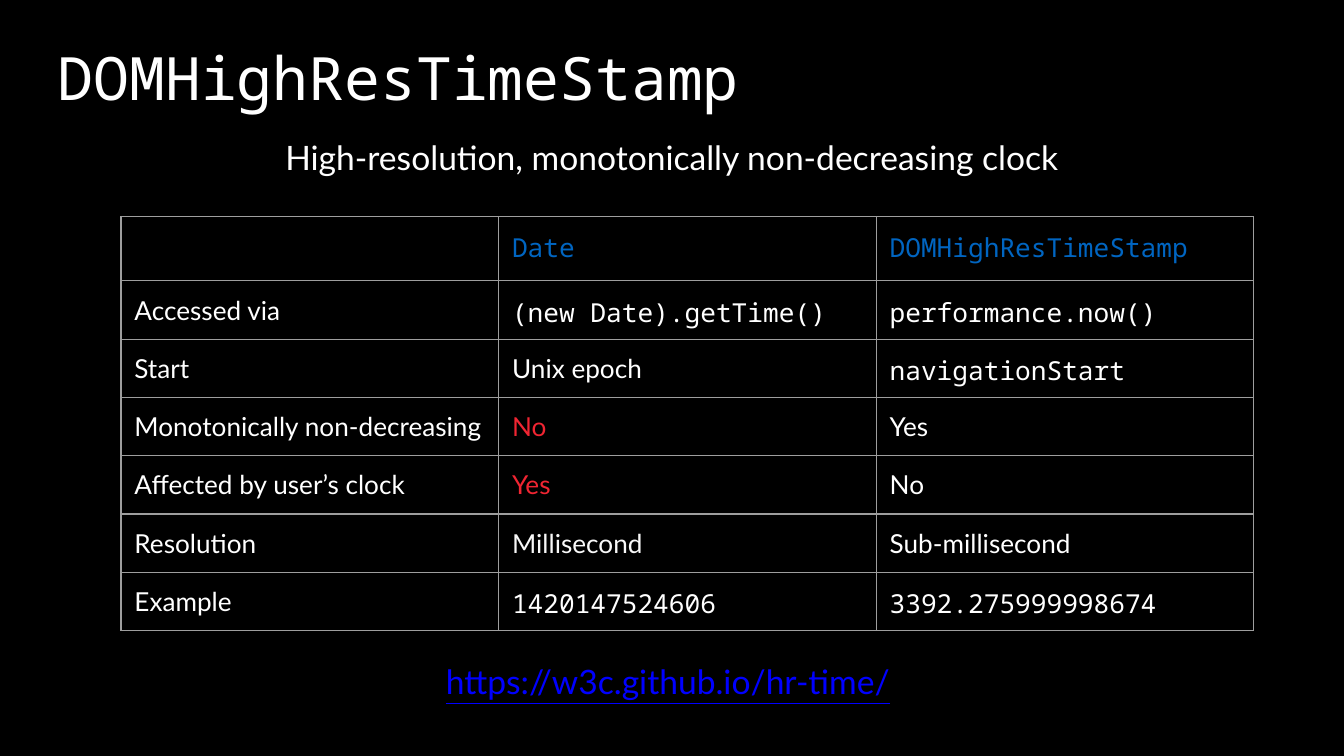
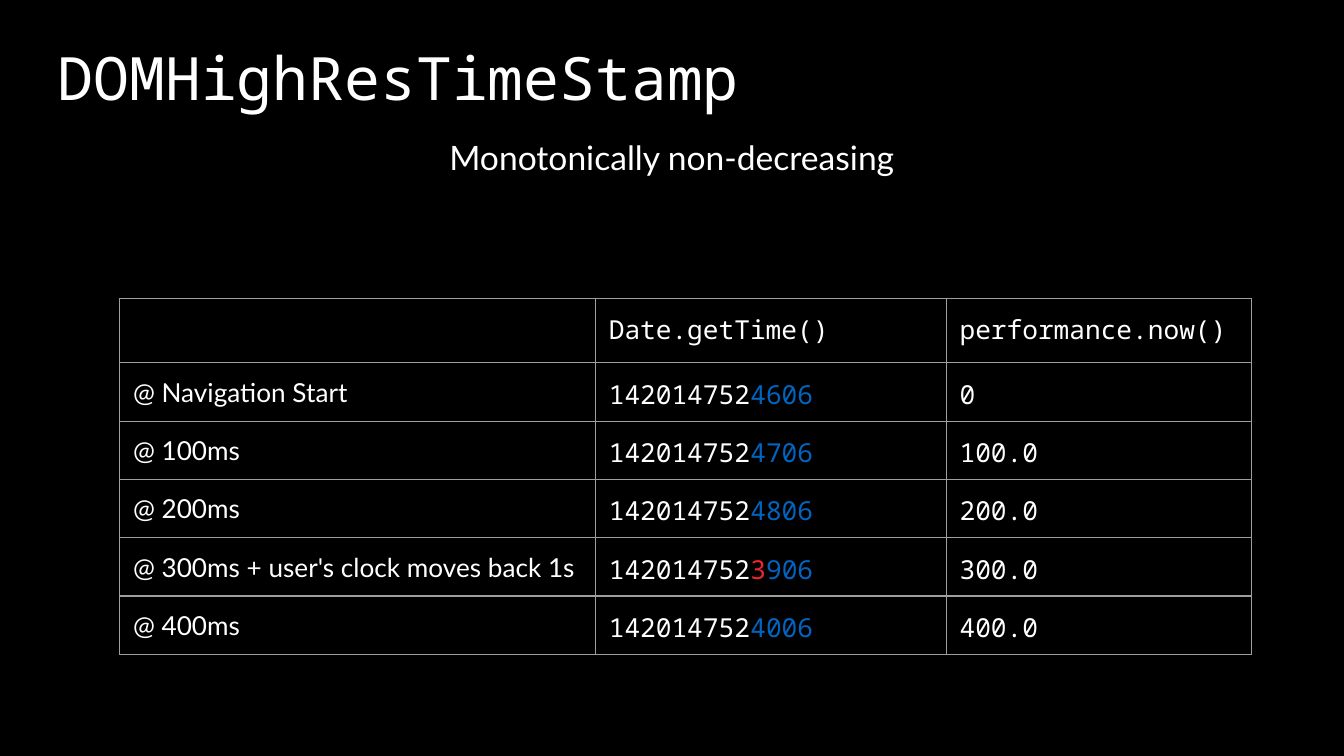
from lxml import etree
from pptx import Presentation
from pptx.dml.color import RGBColor
from pptx.enum.text import MSO_ANCHOR, PP_ALIGN
from pptx.oxml.ns import qn
from pptx.util import Inches, Pt

BLACK = RGBColor(0x00, 0x00, 0x00)
WHITE = RGBColor(0xFF, 0xFF, 0xFF)
OFF_WHITE = RGBColor(0xF8, 0xF8, 0xF8)
BLUE = RGBColor(0x00, 0x65, 0xC1)
RED = RGBColor(0xF0, 0x25, 0x32)
LINK = RGBColor(0x00, 0x00, 0xFF)
BORDER = "9E9E9E"
SANS, MONO = "Lato", "Noto Sans Mono"
LEFT, CENTER = PP_ALIGN.LEFT, PP_ALIGN.CENTER
TOP, MIDDLE = MSO_ANCHOR.TOP, MSO_ANCHOR.MIDDLE


def add_text(holder, text, size=14, font=SANS, color=WHITE, align=LEFT,
             anchor=TOP, inset=0.1, underline=None):
    """Fill a text box or cell; text is a string or a list of (text, color)."""
    tf = holder.text_frame
    tf.word_wrap = True
    # Cells keep margins and anchor on themselves, boxes on their text frame
    box = holder if hasattr(holder, "margin_left") else tf
    box.margin_left = box.margin_right = Inches(inset)
    box.margin_top = box.margin_bottom = Inches(inset)
    box.vertical_anchor = anchor
    p = tf.paragraphs[0]
    p.alignment = align
    for part, part_color in [(text, color)] if isinstance(text, str) else text:
        r = p.add_run()
        r.text = part
        r.font.size = Pt(size)
        r.font.name = font
        r.font.color.rgb = part_color
        r.font.underline = underline


def add_grid(s, left, top, widths, rows):
    """Add a bordered table; each cell is None or (text, font, color)."""
    heights = [0.48] + [0.43] * (len(rows) - 1)
    frame = s.shapes.add_table(len(rows), len(widths), Inches(left), Inches(top),
                               Inches(sum(widths)), Inches(sum(heights)))
    table = frame.table
    table.first_row = table.horz_banding = False
    for col, width in zip(table.columns, widths):
        col.width = Inches(width)
    for i, (row, height) in enumerate(zip(rows, heights)):
        table.rows[i].height = Inches(height)
        for j, content in enumerate(row):
            cell = table.cell(i, j)
            if content:
                text, font, color = content
                add_text(cell, text, font=font, color=color)
            else:
                p = cell.text_frame.paragraphs[0]
                etree.SubElement(p._p, qn("a:endParaRPr"), sz="1400")
            tc_pr = cell._tc.get_or_add_tcPr()
            for side in ("lnL", "lnR", "lnT", "lnB"):
                ln = etree.SubElement(tc_pr, qn("a:" + side), w=str(Pt(0.75)))
                fill = etree.SubElement(ln, qn("a:solidFill"))
                etree.SubElement(fill, qn("a:srgbClr"), val=BORDER)
            cell.fill.solid()
            cell.fill.fore_color.rgb = BLACK


prs = Presentation()
prs.slide_width, prs.slide_height = Inches(10), Inches(5.625)

# Shared background, title and subtitle
slides = []
for subtitle, height in (
        ("High-resolution, monotonically non-decreasing clock", 0.65),
        ("Monotonically non-decreasing", 4.16)):
    s = prs.slides.add_slide(prs.slide_layouts[6])
    s.background.fill.solid()
    s.background.fill.fore_color.rgb = BLACK
    title = s.shapes.add_textbox(Inches(0.37), Inches(0.15), Inches(9.26), Inches(0.84))
    add_text(title, "DOMHighResTimeStamp", size=32, font=MONO, anchor=MIDDLE, inset=0.06)
    body = s.shapes.add_textbox(Inches(0.73), Inches(0.96), Inches(8.54), Inches(height))
    add_text(body, subtitle, size=18, align=CENTER, inset=0.06)
    slides.append(s)

# Slide 1: comparison of the two clocks
comparison = [
    [None, ("Date", MONO, BLUE), ("DOMHighResTimeStamp", MONO, BLUE)],
    [("Accessed via", SANS, WHITE), ("(new Date).getTime()", MONO, WHITE),
     ("performance.now()", MONO, WHITE)],
    [("Start", SANS, WHITE), ("Unix epoch", SANS, WHITE),
     ("navigationStart", MONO, WHITE)],
    [("Monotonically non-decreasing", SANS, WHITE), ("No", SANS, RED),
     ("Yes", SANS, WHITE)],
    [("Affected by user’s clock", SANS, WHITE), ("Yes", SANS, RED),
     ("No", SANS, WHITE)],
    [("Resolution", SANS, WHITE), ("Millisecond", SANS, OFF_WHITE),
     ("Sub-millisecond", SANS, WHITE)],
    [("Example", SANS, WHITE), ("1420147524606", MONO, WHITE),
     ("3392.275999998674", MONO, WHITE)],
]
add_grid(slides[0], 0.9, 1.61, [2.81] * 3, comparison)

# Slide 1: specification address
address = slides[0].shapes.add_textbox(Inches(1.66), Inches(4.59), Inches(6.62), Inches(0.96))
add_text(address, "https://w3c.github.io/hr-time/", size=18, color=LINK,
         align=CENTER, anchor=MIDDLE, underline=True)

# Slide 2: readings of both clocks over time
readings = [
    ("@ Navigation Start", [("4606", BLUE)], "0"),
    ("@ 100ms", [("4706", BLUE)], "100.0"),
    ("@ 200ms", [("4806", BLUE)], "200.0"),
    ("@ 300ms + user's clock moves back 1s", [("3", RED), ("906", BLUE)], "300.0"),
    ("@ 400ms", [("4006", BLUE)], "400.0"),
]
rows = [[None, ("Date.getTime()", MONO, WHITE), ("performance.now()", MONO, WHITE)]]
for moment, digits, elapsed in readings:
    rows.append([(moment, SANS, WHITE),
                 ([("142014752", WHITE)] + digits, MONO, WHITE),
                 (elapsed, MONO, WHITE)])
add_grid(slides[1], 0.89, 2.22, [3.54, 2.61, 2.27], rows)

prs.save("out.pptx")
